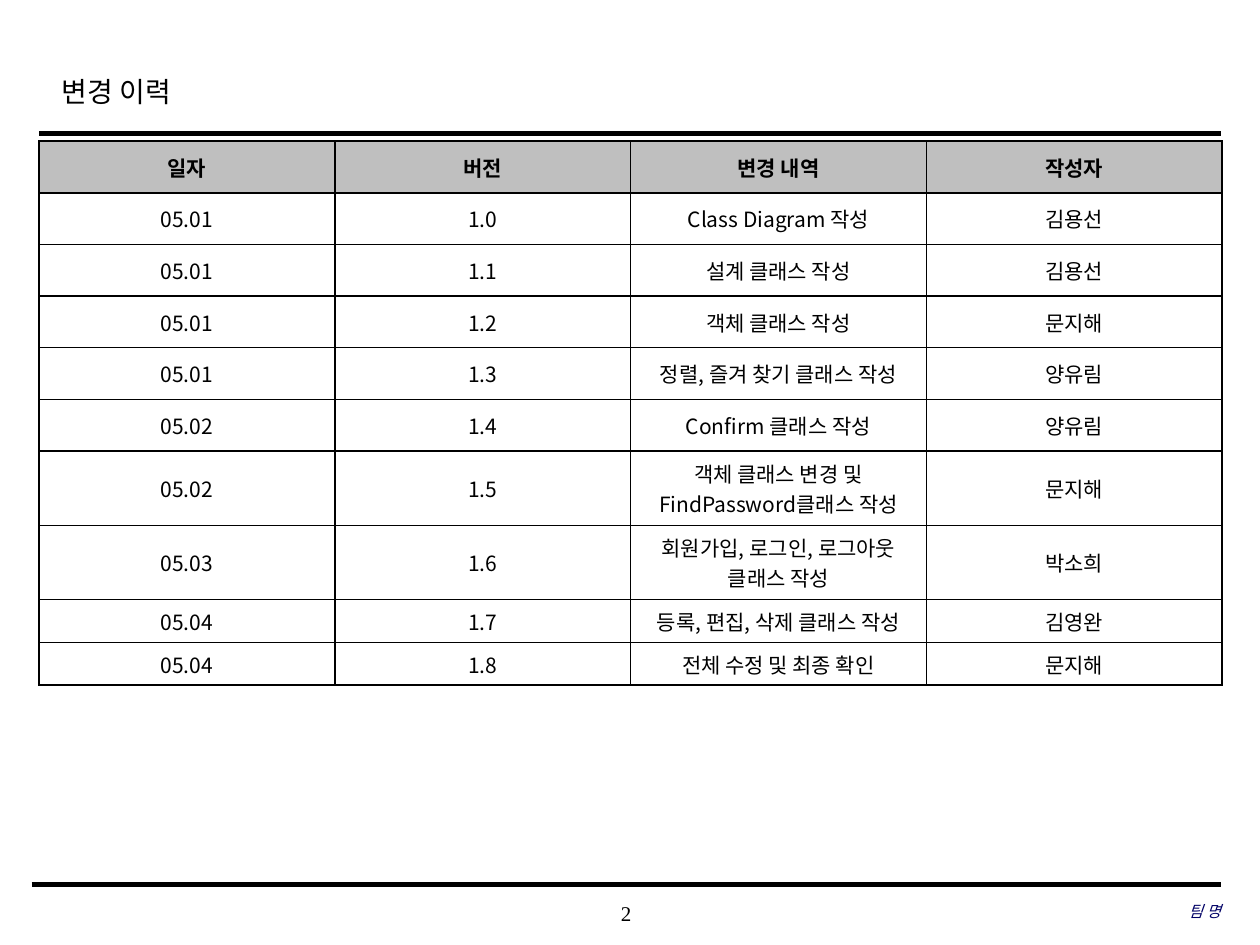
from lxml import etree
from pptx import Presentation
from pptx.dml.color import RGBColor
from pptx.enum.shapes import MSO_CONNECTOR
from pptx.enum.text import MSO_ANCHOR, MSO_AUTO_SIZE, PP_ALIGN
from pptx.oxml.ns import qn
from pptx.util import Inches, Pt

SERIF = "Times New Roman"
KOREAN = "Noto Sans CJK KR"
HEADER = ("일자", "버전", "변경 내역", "작성자")
CHANGES = [
    ("05.01", "Class Diagram 작성", "김용선"),
    ("05.01", "설계 클래스 작성", "김용선"),
    ("05.01", "객체 클래스 작성", "문지해"),
    ("05.01", "정렬, 즐겨 찾기 클래스 작성", "양유림"),
    ("05.02", "Confirm 클래스 작성", "양유림"),
    ("05.02", "객체 클래스 변경 및 FindPassword클래스 작성", "문지해"),
    ("05.03", "회원가입, 로그인, 로그아웃 클래스 작성", "박소희"),
    ("05.04", "등록, 편집, 삭제 클래스 작성", "김영완"),
    ("05.04", "전체 수정 및 최종 확인", "문지해"),
]
ROW_HEIGHTS = [0.41] * 6 + [0.59] * 2 + [0.34] * 2


def rgb(value):
    """Return a colour from a hex string."""
    return RGBColor.from_string(value)


def write_text(frame, text, size, font=SERIF, color="000000", align=PP_ALIGN.LEFT,
               bold=False, italic=False):
    """Put one formatted run into a text frame and return its paragraph."""
    paragraph = frame.paragraphs[0]
    paragraph.alignment = align
    run = paragraph.add_run()
    run.text = text
    run.font.size = Pt(size)
    run.font.name = font
    run.font.bold = bold
    run.font.italic = italic
    run.font.color.rgb = rgb(color)
    east_asian = etree.SubElement(run.font._element, qn("a:ea"))
    east_asian.set("typeface", KOREAN)
    return paragraph


def add_title(slide, text):
    """Place and format the title placeholder."""
    title = slide.shapes.title
    title.left, title.top = Inches(0.39), Inches(0.49)
    title.width, title.height = Inches(7.55), Inches(0.5)
    frame = title.text_frame
    frame.auto_size = MSO_AUTO_SIZE.NONE
    frame.vertical_anchor = MSO_ANCHOR.MIDDLE
    frame.margin_bottom = Inches(0.13)
    write_text(frame, text, 16).line_spacing = 1.2


def add_rule(slide, left, right, y, width):
    """Draw a horizontal black rule."""
    rule = slide.shapes.add_connector(
        MSO_CONNECTOR.STRAIGHT, Inches(left), Inches(y), Inches(right), Inches(y))
    rule.line.color.rgb = rgb("000000")
    rule.line.width = Pt(width)
    etree.SubElement(rule._element.spPr, qn("a:effectLst"))


def add_footer(slide, left, top, width, text, size, **style):
    """Add a footer text box without insets."""
    box = slide.shapes.add_textbox(Inches(left), Inches(top), Inches(width), Inches(0.33))
    frame = box.text_frame
    frame.word_wrap = True
    frame.vertical_anchor = MSO_ANCHOR.MIDDLE
    frame.margin_left = frame.margin_right = frame.margin_top = frame.margin_bottom = 0
    write_text(frame, text, size, **style)


def add_borders(cell):
    """Give a cell thin black borders ahead of its fill."""
    properties = cell._tc.get_or_add_tcPr()
    for index, side in enumerate(("a:lnL", "a:lnR", "a:lnT", "a:lnB")):
        line = etree.Element(qn(side), w=str(Pt(1)))
        fill = etree.SubElement(line, qn("a:solidFill"))
        etree.SubElement(fill, qn("a:srgbClr"), val="000000")
        properties.insert(index, line)


def add_history_table(slide):
    """Build the table of numbered changes."""
    rows = [HEADER] + [(date, f"1.{number}", change, author)
                       for number, (date, change, author) in enumerate(CHANGES)]
    table = slide.shapes.add_table(
        len(rows), len(HEADER), Inches(0.31), Inches(1.12),
        Inches(9.39), Inches(sum(ROW_HEIGHTS))).table
    for row, height in zip(table.rows, ROW_HEIGHTS):
        row.height = Inches(height)
    for r, values in enumerate(rows):
        for c, value in enumerate(values):
            cell = table.cell(r, c)
            cell.vertical_anchor = MSO_ANCHOR.MIDDLE
            cell.fill.solid()
            cell.fill.fore_color.rgb = rgb("FFFFFF" if r else "BFBFBF")
            write_text(cell.text_frame, value, 12, font=KOREAN,
                       align=PP_ALIGN.CENTER, bold=r == 0)
            add_borders(cell)


def main():
    """Build and save the change history slide."""
    presentation = Presentation()
    presentation.slide_width, presentation.slide_height = Inches(10), Inches(7.5)
    slide = presentation.slides.add_slide(presentation.slide_layouts[5])
    add_footer(slide, 3.93, 7.08, 2.08, "2", 12, align=PP_ALIGN.CENTER)
    add_rule(slide, 0.31, 9.69, 1.06, 2.5)
    add_rule(slide, 0.25, 9.69, 7.02, 3)
    add_title(slide, "변경 이력")
    add_footer(slide, 6.63, 7.07, 3.06, "팀 명", 9, color="000066",
               align=PP_ALIGN.RIGHT, italic=True)
    add_history_table(slide)
    presentation.save("out.pptx")


main()
